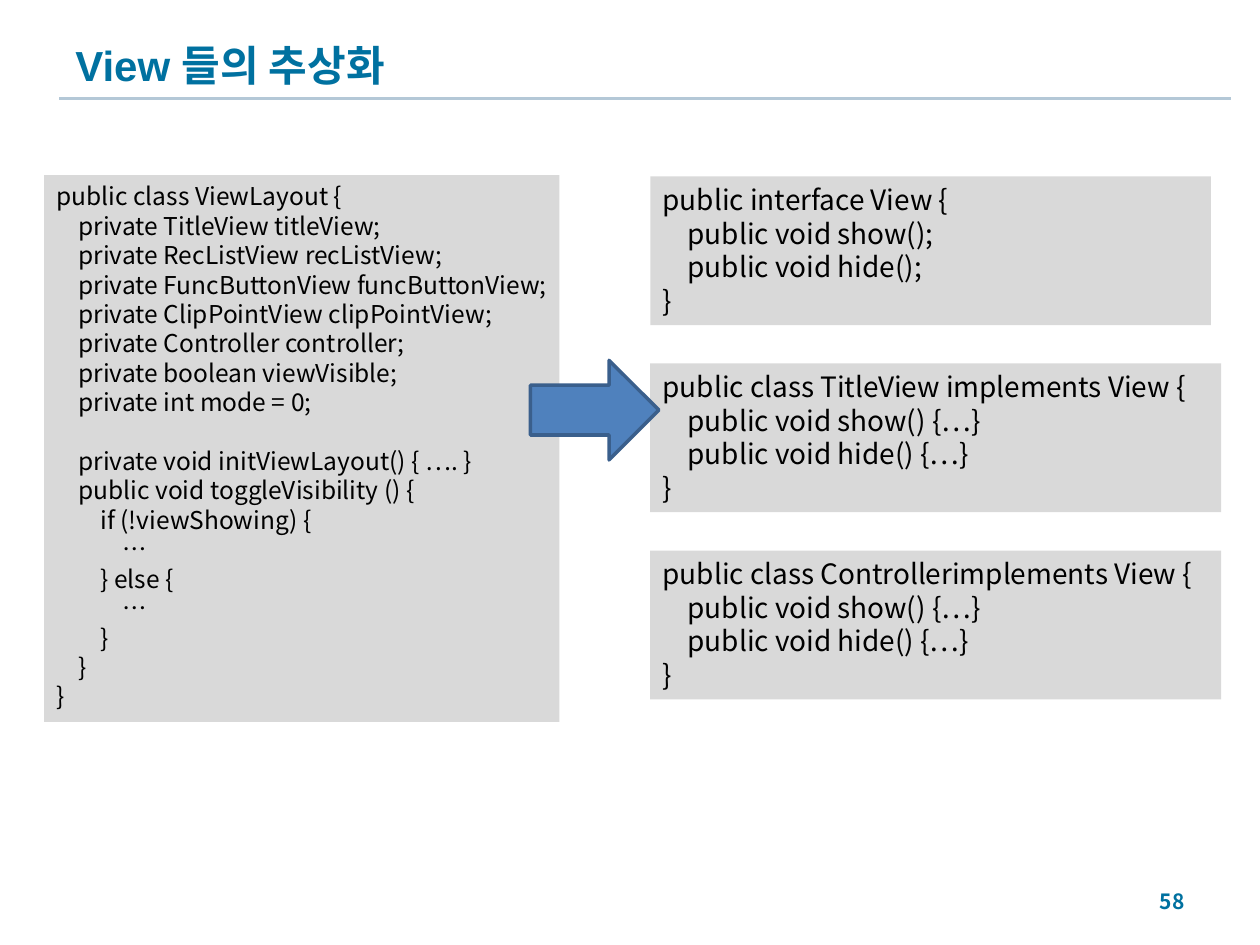
from lxml.etree import SubElement
from pptx import Presentation
from pptx.dml.color import RGBColor as Rgb
from pptx.enum.shapes import MSO_CONNECTOR as Link, MSO_SHAPE as Kind
from pptx.enum.text import MSO_ANCHOR as Anchor, PP_ALIGN as Align
from pptx.oxml.ns import qn
from pptx.util import Pt

TITLE = "View 들의 추상화"
PAGE = "58"
LAYOUT = """public class ViewLayout {
    private TitleView titleView;
    private RecListView recListView;
    private FuncButtonView funcButtonView;
    private ClipPointView clipPointView;
    private Controller controller;
    private boolean viewVisible;
    private int mode = 0;

    private void initViewLayout() { …. }
    public void toggleVisibility () {
        if (!viewShowing) {
            …
        } else {
            …
        }
    }
}"""
# heading, method ending, box width
VIEWS = [
    ("public interface View {", ";", 320.4),
    ("public class TitleView implements View {", " {…}", 326.2),
    ("public class Controllerimplements View {", " {…}", 326.2),
]

THEME = {
    "accent": "0071A0", "rule": "B4C8D7", "panel": "D9D9D9",
    "ink": "000000", "arrow": "4F81BD", "edge": "3A5F8C",
    "head": "Arial", "body": "Noto Sans CJK KR",
    "title": 24, "page": 12, "long": 14, "short": 16,
}
LEAD = 1.2
LEFT, TOP, PITCH = 371.6, 100.8, 106.9


def color(name):
    return Rgb.from_string(THEME[name])


def style(part, **vals):
    for key, val in vals.items():
        setattr(part, key, val)


def font(part, face, size, ink, bold=False):
    style(part.font, name=THEME[face], size=Pt(THEME[size]), bold=bold)
    part.font.color.rgb = color(ink)


def label(slide, box, text, face, size, align):
    frame = slide.shapes.add_textbox(*map(Pt, box)).text_frame
    style(frame, word_wrap=True, vertical_anchor=Anchor.MIDDLE)
    para = frame.paragraphs[0]
    style(para, text=text, alignment=align)
    font(para, face, size, "accent", True)


def block(slide, box, code, size, wrap):
    """Draw a code panel; a blank line in the code becomes space before."""
    shape = slide.shapes.add_shape(Kind.RECTANGLE, *map(Pt, box))
    shape.shadow.inherit = False
    shape.fill.solid()
    shape.fill.fore_color.rgb = color("panel")
    shape.line.fill.background()
    frame = shape.text_frame
    style(frame, word_wrap=wrap, vertical_anchor=Anchor.TOP)
    step = Pt(THEME[size] * LEAD)
    gap = 0
    for i, line in enumerate(code.split("\n")):
        if not line:
            gap = step
            continue
        para = frame.add_paragraph() if i else frame.paragraphs[0]
        style(para, text=line, alignment=Align.LEFT,
              line_spacing=step, space_before=gap)
        font(para, size=size, face="body", ink="ink")
        gap = 0


def rule(slide):
    line = slide.shapes.add_connector(
        Link.STRAIGHT, *map(Pt, (33.8, 56.2, 703.4, 56.2)))
    style(line.line, width=Pt(1.5))
    line.line.color.rgb = color("rule")
    SubElement(line._element.spPr, qn("a:effectLst"))


def arrow(slide):
    shape = slide.shapes.add_shape(
        Kind.RIGHT_ARROW, *map(Pt, (303.1, 205.9, 73.4, 56.9)))
    shape.shadow.inherit = False
    shape.fill.solid()
    shape.fill.fore_color.rgb = color("arrow")
    shape.line.width = Pt(2)
    shape.line.color.rgb = color("edge")


def main():
    deck = Presentation()
    style(deck, slide_width=Pt(720), slide_height=Pt(540))
    slide = deck.slides.add_slide(deck.slide_layouts[6])
    rule(slide)
    label(slide, (36, 16.6, 648, 40.3), TITLE, "head", "title", Align.LEFT)
    label(slide, (516.2, 500.4, 167.8, 28.8), PAGE, "body", "page", Align.RIGHT)
    block(slide, (25.2, 100.1, 294.5, 312.5), LAYOUT, "long", False)
    for i, (head, end, width) in enumerate(VIEWS):
        calls = [f"    public void {name}(){end}" for name in ("show", "hide")]
        code = "\n".join([head, *calls, "}"])
        block(slide, (LEFT, TOP + i * PITCH, width, 85), code, "short", True)
    arrow(slide)
    deck.save("out.pptx")


if __name__ == "__main__":
    main()
